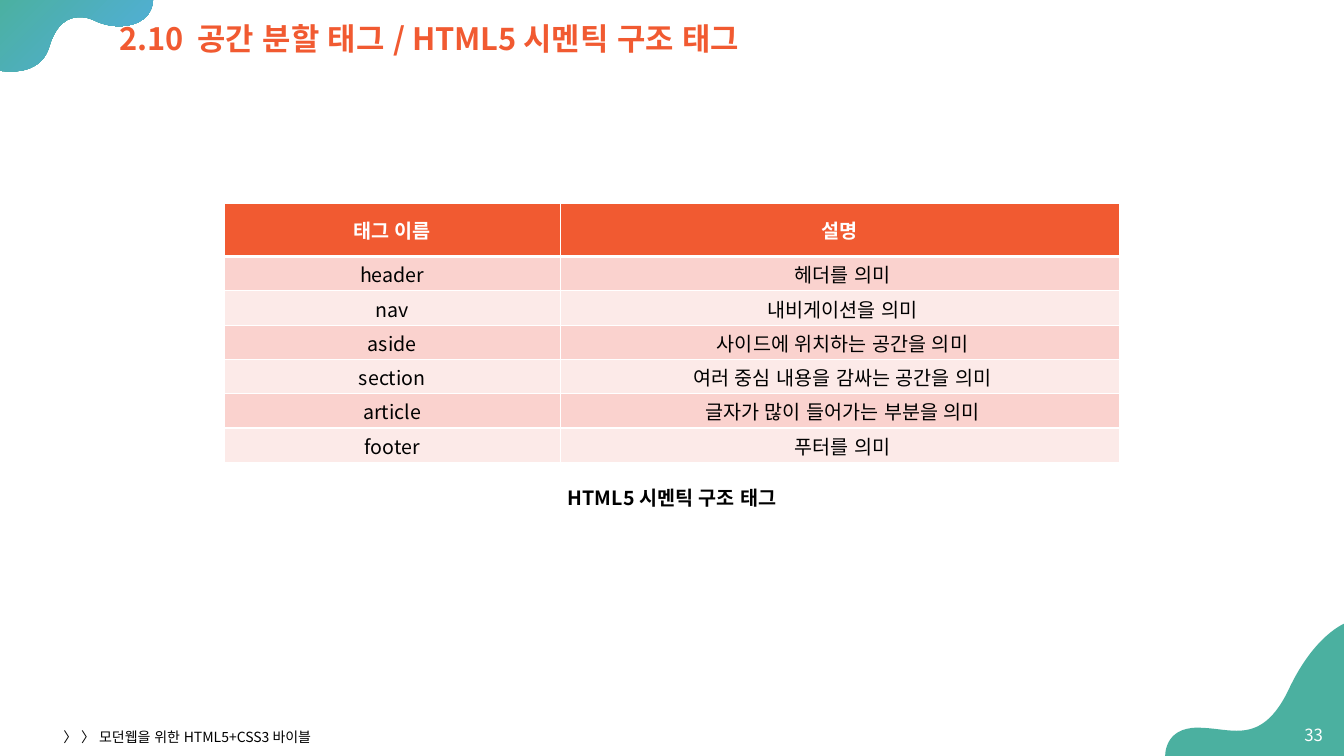
from lxml.etree import SubElement
from pptx import Presentation
from pptx.dml.color import RGBColor
from pptx.enum.lang import MSO_LANGUAGE_ID
from pptx.enum.text import MSO_ANCHOR, MSO_AUTO_SIZE, PP_ALIGN
from pptx.oxml import parse_xml
from pptx.oxml.ns import nsdecls, qn
from pptx.util import Pt

FONT = "Noto Sans CJK KR"
COLORS = {
    "accent": "F15A31", "green": "4BB0A0", "blue": "52AEE1",
    "dark_band": "FAD2CE", "light_band": "FCEAE8",
    "white": "FFFFFF", "black": "000000",
}
TAG_ROWS = [
    ("태그 이름", "설명"),
    ("header", " 헤더를 의미"),
    ("nav", " 내비게이션을 의미"),
    ("aside", " 사이드에 위치하는 공간을 의미"),
    ("section", " 여러 중심 내용을 감싸는 공간을 의미"),
    ("article", " 글자가 많이 들어가는 부분을 의미"),
    ("footer", " 푸터를 의미"),
]
TABLE_LEFT, TABLE_TOP = 160.2, 145.3
COLUMN_WIDTHS = (240, 399.6)
HEADER_HEIGHT, ROW_HEIGHT = 38, 24.5

TEXTS = [
    {"text": "2.10  공간 분할 태그 / HTML5 시멘틱 구조 태그", "box": (78.1, 13.6, 881.9, 31),
     "size": 22, "color": "accent", "bold": True, "align": PP_ALIGN.LEFT,
     "anchor": MSO_ANCHOR.MIDDLE, "wrap": True, "spacing": 0.9},
    {"text": "HTML5 시멘틱 구조 태그", "box": (396, 343.4, 168.5, 24.5),
     "size": 14, "color": "black", "bold": True, "align": PP_ALIGN.CENTER,
     "anchor": MSO_ANCHOR.TOP, "wrap": False, "spacing": 1.0},
    {"text": "33", "box": (920.5, 510.5, 31.7, 28.8),
     "size": 12, "color": "white", "bold": False, "align": PP_ALIGN.RIGHT,
     "anchor": MSO_ANCHOR.MIDDLE, "wrap": True, "spacing": 1.0},
    {"text": "〉 〉 모던웹을 위한 HTML5+CSS3 바이블", "box": (38.2, 517.7, 324, 17.3),
     "size": 10, "color": "black", "bold": False, "align": PP_ALIGN.LEFT,
     "anchor": MSO_ANCHOR.MIDDLE, "wrap": True, "spacing": 1.0},
]
TOP_WAVE = [
    (109.4, -1.4), (-0.7, -1.4), (-0.7, 50.4),
    (-0.7, 50.4, 2.9, 51.1, 7.9, 51.1), (17.3, 51.1, 31, 48.2, 35.3, 33.1),
    (40.3, 16.6, 49, 12.2, 56.9, 12.2), (60.5, 12.2, 64.1, 13, 67, 14.4),
    (72.7, 17.3, 79.2, 18.7, 85, 18.7), (98.6, 18.7, 109.4, 12.2, 109.4, -1.4),
]
BOTTOM_WAVE = [
    (961.2, 445),
    (961.2, 445, 938.9, 452.9, 920.2, 493.2), (908.6, 517, 896.4, 522, 883.4, 522),
    (874.8, 522, 865.4, 519.8, 855.4, 519.8), (830.9, 519.8, 832.3, 540.7, 832.3, 540.7),
    (961.2, 540.7), (961.2, 445),
]


def rgb(name):
    return RGBColor.from_string(COLORS[name])


def add_wave(slide, segments):
    vertices = [(Pt(x), Pt(y)) for segment in segments
                for x, y in zip(segment[::2], segment[1::2])]
    builder = slide.shapes.build_freeform(*vertices[0])
    builder.add_line_segments(vertices[1:], close=True)
    shape = builder.convert_to_shape()
    lines = iter(list(shape._element.iter(qn("a:lnTo"))))
    for segment in segments[1:]:
        group = [next(lines) for _ in segment[::2]]
        if len(group) == 3:
            curve = parse_xml(f'<a:cubicBezTo {nsdecls("a")}/>')
            group[0].addprevious(curve)
            for line in group:
                curve.append(line[0])
                line.getparent().remove(line)
    shape.shadow.inherit = False
    shape.line.fill.background()
    return shape


def write_text(paragraph, text, size, color, bold, align):
    paragraph.alignment = align
    run = paragraph.add_run()
    run.text = text
    formats = {"size": Pt(size), "bold": bold, "name": FONT,
               "language_id": MSO_LANGUAGE_ID.KOREAN}
    for name, value in formats.items():
        setattr(run.font, name, value)
    run.font.color.rgb = rgb(color)
    properties = run._r.get_or_add_rPr()
    properties.set("kern", "0")
    SubElement(properties, qn("a:ea"), typeface=FONT)


def add_text(slide, item):
    frame = slide.shapes.add_textbox(*map(Pt, item["box"])).text_frame
    settings = {"word_wrap": item["wrap"], "vertical_anchor": item["anchor"],
                "auto_size": MSO_AUTO_SIZE.NONE if item["wrap"] else MSO_AUTO_SIZE.SHAPE_TO_FIT_TEXT}
    for name, value in settings.items():
        setattr(frame, name, value)
    paragraph = frame.paragraphs[0]
    paragraph.line_spacing = item["spacing"]
    write_text(paragraph, *(item[key] for key in ("text", "size", "color", "bold", "align")))


def set_borders(cell, widths):
    properties = cell._tc.get_or_add_tcPr()
    for index, (side, width) in enumerate(widths.items()):
        properties.insert(index, parse_xml(
            f'<a:ln{side} {nsdecls("a")} w="{Pt(width)}"><a:solidFill>'
            f'<a:srgbClr val="{COLORS["white"]}"/></a:solidFill></a:ln{side}>'))


def add_tag_table(slide):
    heights = [HEADER_HEIGHT] + [ROW_HEIGHT] * (len(TAG_ROWS) - 1)
    table = slide.shapes.add_table(
        len(TAG_ROWS), len(COLUMN_WIDTHS), Pt(TABLE_LEFT), Pt(TABLE_TOP),
        Pt(sum(COLUMN_WIDTHS)), Pt(sum(heights))).table
    for column, width in zip(table.columns, COLUMN_WIDTHS):
        column.width = Pt(width)
    for row_index, (row, height, texts) in enumerate(zip(table.rows, heights, TAG_ROWS)):
        row.height = Pt(height)
        header = row_index == 0
        band = "accent" if header else ("light_band", "dark_band")[row_index % 2]
        for cell, text in zip(row.cells, texts):
            settings = {"vertical_anchor": MSO_ANCHOR.MIDDLE}
            if not header:
                settings.update(margin_left=Pt(0.7), margin_right=Pt(0.7),
                                margin_top=Pt(0.7), margin_bottom=Pt(0))
            for name, value in settings.items():
                setattr(cell, name, value)
            cell.fill.solid()
            cell.fill.fore_color.rgb = rgb(band)
            set_borders(cell, {"L": 1, "R": 1, "T": 3 if row_index == 1 else 1,
                               "B": 3 if header else 1})
            write_text(cell.text_frame.paragraphs[0], text, 14,
                       "white" if header else "black", header, PP_ALIGN.CENTER)


def main():
    presentation = Presentation()
    presentation.slide_width, presentation.slide_height = Pt(960), Pt(540)
    slide = presentation.slides.add_slide(presentation.slide_layouts[6])

    top_fill = add_wave(slide, TOP_WAVE).fill
    top_fill.gradient()
    top_fill.gradient_angle = 315
    for stop, color in zip(top_fill.gradient_stops, ("green", "blue")):
        stop.color.rgb = rgb(color)
    bottom_fill = add_wave(slide, BOTTOM_WAVE).fill
    bottom_fill.solid()
    bottom_fill.fore_color.rgb = rgb("green")

    add_tag_table(slide)
    for item in TEXTS:
        add_text(slide, item)
    presentation.save("out.pptx")


if __name__ == "__main__":
    main()
